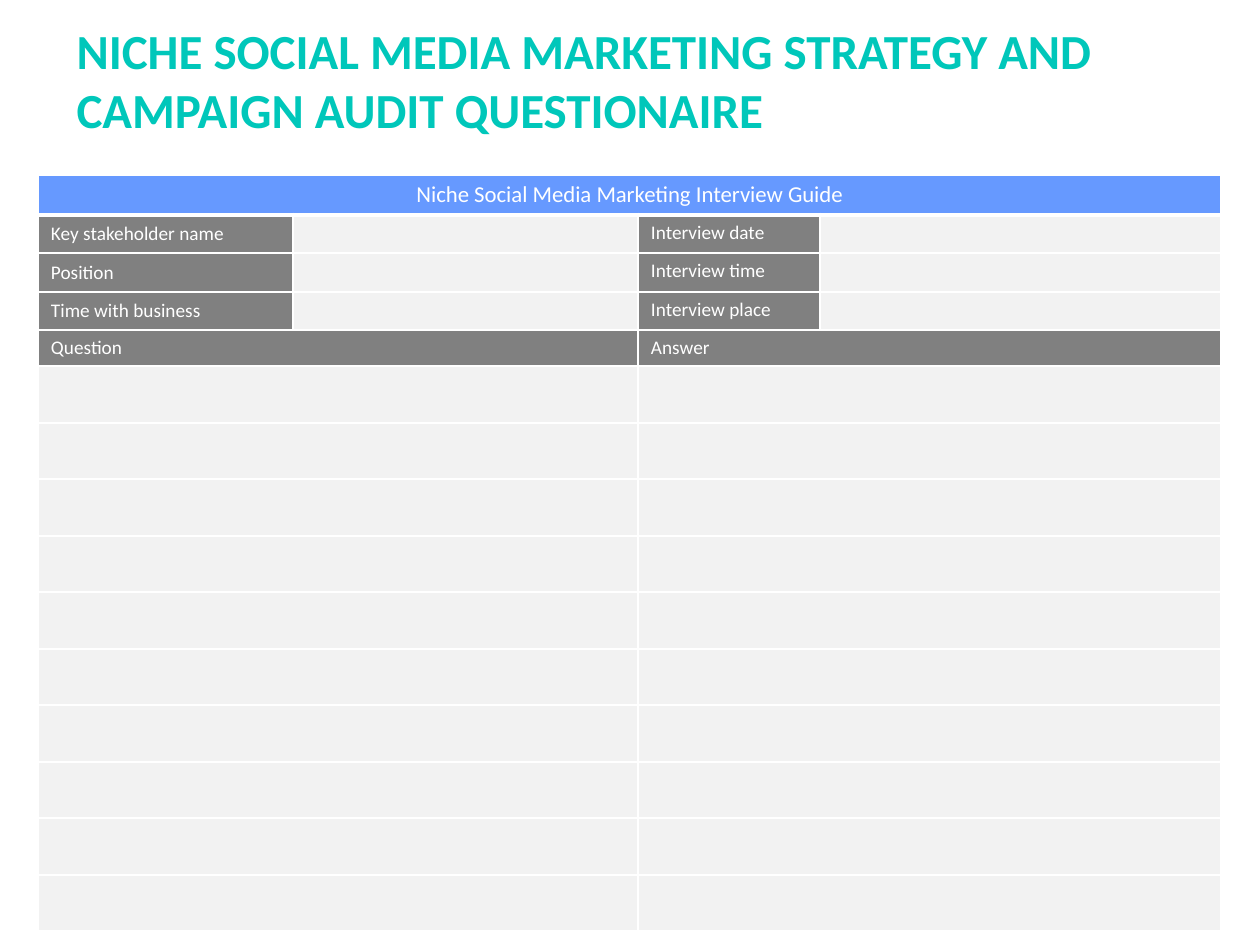
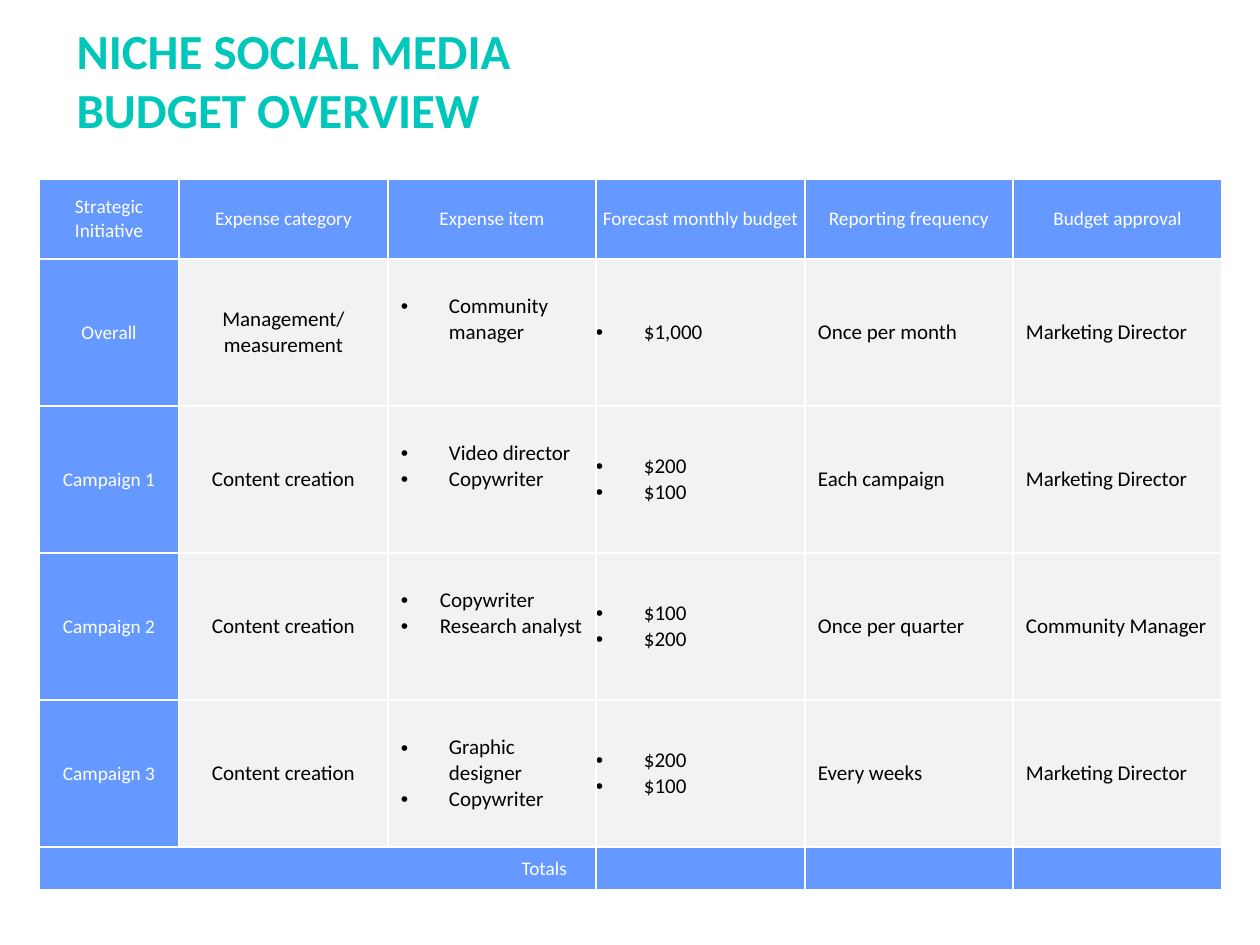
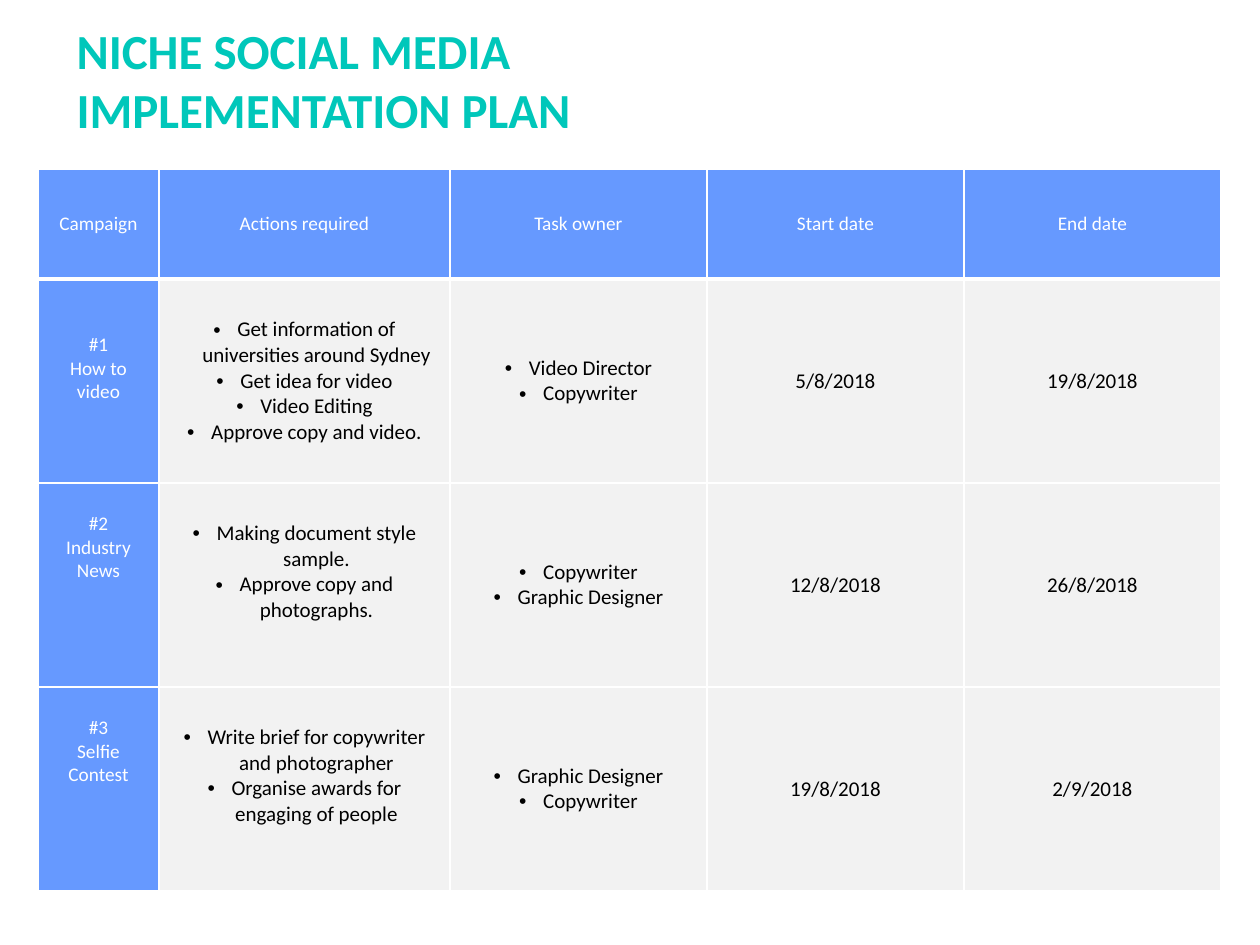
from dataclasses import dataclass, replace

from lxml import etree
from pptx import Presentation
from pptx.dml.color import RGBColor
from pptx.enum.text import MSO_ANCHOR, MSO_AUTO_SIZE, PP_ALIGN
from pptx.oxml.ns import qn
from pptx.util import Emu, Pt


@dataclass(frozen=True)
class Theme:
    font: str = "Calibri"
    teal: str = "00C7BA"
    blue: str = "6699FF"
    gray: str = "808080"
    pale: str = "F2F2F2"
    white: str = "FFFFFF"
    black: str = "000000"
    title_size: int = 28
    banner_size: int = 13
    body_size: int = 12
    label_size: int = 11
    border: int = 1
    heavy_border: int = 3


THEME = Theme()
TITLE_BOX = (64, 14, 1111, 131)
TITLE_ONLY = 5


@dataclass(frozen=True)
class CellStyle:
    fill: str = THEME.pale
    color: str = THEME.black
    size: int = THEME.body_size
    align: PP_ALIGN = PP_ALIGN.LEFT
    anchor: MSO_ANCHOR = MSO_ANCHOR.MIDDLE
    bullet_indent: int = 0
    margins: tuple = (13, 6, 13, 6)  # left, top, right, bottom


BODY = CellStyle()
CENTERED = replace(BODY, align=PP_ALIGN.CENTER)
FLUSH = (0, 0, 0, 0)
LABEL = CellStyle(THEME.blue, THEME.white, THEME.label_size, PP_ALIGN.CENTER)
FIELD = replace(LABEL, fill=THEME.gray, align=PP_ALIGN.LEFT)
RAISED = (13, 6, 13, 32)  # lifts text by half a line above the middle


def px(length):
    return Emu(round(length * 914400 / 126))


# Shared parts

def add_titled_slide(presentation, title_text):
    slide = presentation.slides.add_slide(presentation.slide_layouts[TITLE_ONLY])
    title = slide.shapes.title
    title.left, title.top, title.width, title.height = map(px, TITLE_BOX)
    frame = title.text_frame
    frame.text = title_text
    frame.word_wrap = True
    frame.auto_size = MSO_AUTO_SIZE.NONE
    frame.vertical_anchor = MSO_ANCHOR.MIDDLE
    for paragraph in frame.paragraphs:
        paragraph.alignment = PP_ALIGN.LEFT
        set_font(paragraph, THEME.title_size, THEME.teal, bold=True)
    return slide


def set_font(paragraph, size, color, bold=False):
    font = paragraph.font
    font.name = THEME.font
    font.size = Pt(size)
    font.bold = bold
    font.color.rgb = RGBColor.from_string(color)


def add_bullet(paragraph, indent):
    properties = paragraph._p.get_or_add_pPr()
    properties.set("marL", str(px(indent)))
    properties.set("indent", str(-px(indent)))
    etree.SubElement(properties, qn("a:buFont"), typeface="Arial")
    etree.SubElement(properties, qn("a:buChar"), char="•")


def add_borders(cell, sides):
    properties = cell._tc.get_or_add_tcPr()
    for side, width in sides.items():
        line = etree.SubElement(properties, qn(f"a:ln{side}"), w=str(Pt(width)))
        fill = etree.SubElement(line, qn("a:solidFill"))
        etree.SubElement(fill, qn("a:srgbClr"), val=THEME.white)


def add_grid(slide, box, widths, heights, heavy_header=False):
    """Add a table of pale, empty cells with white borders."""
    shape = slide.shapes.add_table(len(heights), len(widths), *map(px, box))
    table = shape.table
    table.first_row = table.horz_banding = False
    for column, width in zip(table.columns, widths):
        column.width = px(width)
    for index, (row, height) in enumerate(zip(table.rows, heights)):
        row.height = px(height)
        sides = {"L": THEME.border, "R": THEME.border}
        if index == 0:
            sides["T"] = THEME.border
        heavy = heavy_header and index == 0
        sides["B"] = THEME.heavy_border if heavy else THEME.border
        for cell in row.cells:
            add_borders(cell, sides)
            format_cell(cell, BODY)
            # Small empty text keeps the short rows from growing
            etree.SubElement(cell.text_frame.paragraphs[0]._p, qn("a:endParaRPr"),
                             sz=str(THEME.label_size * 100))
    return table


def format_cell(cell, style, text=""):
    cell.fill.solid()
    cell.fill.fore_color.rgb = RGBColor.from_string(style.fill)
    cell.vertical_anchor = style.anchor
    (cell.margin_left, cell.margin_top,
     cell.margin_right, cell.margin_bottom) = map(px, style.margins)
    if not text:
        return
    cell.text_frame.text = text
    for paragraph in cell.text_frame.paragraphs:
        paragraph.alignment = style.align
        if style.bullet_indent:
            add_bullet(paragraph, style.bullet_indent)
        set_font(paragraph, style.size, style.color)


def fill_row(table, row, styles, texts):
    for column, (style, text) in enumerate(zip(styles, texts)):
        format_cell(table.cell(row, column), style, text)


# Interview guide

def add_interview_guide(slide, box):
    widths = (255, 345, 182, 401)
    heights = (40, 38, 39, 38, 36) + (57, 56) * 5
    table = add_grid(slide, box, widths, heights, heavy_header=True)

    table.cell(0, 0).merge(table.cell(0, 3))
    banner = replace(LABEL, size=THEME.banner_size, anchor=MSO_ANCHOR.TOP)
    format_cell(table.cell(0, 0), banner, "Niche Social Media Marketing Interview Guide")

    fields = (("Key stakeholder name", "Interview date"),
              ("Position", "Interview time"),
              ("Time with business", "Interview place"))
    for row, (person, meeting) in enumerate(fields, start=1):
        format_cell(table.cell(row, 0), FIELD, person)
        format_cell(table.cell(row, 2), replace(FIELD, anchor=MSO_ANCHOR.TOP), meeting)

    # Question and answer halves
    question_row = len(fields) + 1
    for column, heading in ((0, "Question"), (2, "Answer")):
        for row in range(question_row, len(heights)):
            table.cell(row, column).merge(table.cell(row, column + 1))
        format_cell(table.cell(question_row, column), FIELD, heading)


# Budget

def add_budget(slide, box):
    widths = (140, 209, 208, 209, 208, 209)
    table = add_grid(slide, box, widths, (80,) + (147,) * 4 + (43,))

    flush_label = replace(LABEL, margins=FLUSH)
    fill_row(table, 0, (LABEL, flush_label, LABEL, flush_label, LABEL, LABEL),
             ("Strategic Initiative", "Expense category", "Expense item",
              "Forecast monthly budget", "Reporting frequency", "Budget approval"))

    category = replace(CENTERED, margins=FLUSH)
    listed = replace(BODY, bullet_indent=48)
    raised = replace(listed, margins=RAISED)
    amount = replace(listed, margins=FLUSH)
    initiatives = (
        (raised, ("Overall", "Management/ measurement", "Community manager",
                  "$1,000", "Once per month", "Marketing Director")),
        (raised, ("Campaign 1", "Content creation", "Video director\nCopywriter",
                  "$200\n$100", "Each campaign", "Marketing Director")),
        (replace(raised, bullet_indent=39),
         ("Campaign 2", "Content creation", "Copywriter\nResearch analyst",
          "$100\n$200", "Once per quarter", "Community Manager")),
        (listed, ("Campaign 3", "Content creation", "Graphic designer\nCopywriter",
                  "$200\n$100", "Every weeks", "Marketing Director")),
    )
    for row, (item, texts) in enumerate(initiatives, start=1):
        fill_row(table, row, (LABEL, category, item, amount, BODY, BODY), texts)

    # Totals
    last = len(initiatives) + 1
    table.cell(last, 0).merge(table.cell(last, 2))
    totals = replace(LABEL, align=PP_ALIGN.RIGHT, margins=(0, 0, 29, 0))
    fill_row(table, last, (totals,), ("Totals",))
    for column in range(3, len(widths)):
        format_cell(table.cell(last, column), LABEL)


# Implementation plan

def add_plan(slide, box):
    widths = (121, 291, 257, 257, 257)
    table = add_grid(slide, box, widths, (110,) + (204,) * 3, heavy_header=True)
    fill_row(table, 0, (LABEL,) * len(widths),
             ("Campaign", "Actions required", "Task owner", "Start date", "End date"))

    listed = replace(CENTERED, bullet_indent=24)
    raised = replace(listed, margins=RAISED)
    campaigns = (
        (54, listed, ("#1\nHow to video",
                      "Get information of universities around Sydney\n"
                      "Get idea for video\nVideo Editing\nApprove copy and video.",
                      "Video Director\nCopywriter", "5/8/2018", "19/8/2018")),
        (29, raised, ("#2\nIndustry News",
                      "Making document style sample.\nApprove copy and photographs.",
                      "Copywriter\nGraphic Designer", "12/8/2018", "26/8/2018")),
        (29, raised, ("#3\nSelfie Contest",
                      "Write brief for copywriter and photographer\n"
                      "Organise awards for engaging of people",
                      "Graphic Designer\nCopywriter", "19/8/2018", "2/9/2018")),
    )
    for row, (top_margin, actions, texts) in enumerate(campaigns, start=1):
        name = replace(LABEL, anchor=MSO_ANCHOR.TOP, margins=(13, top_margin, 13, 6))
        fill_row(table, row, (name, actions, listed, CENTERED, CENTERED), texts)


def main():
    presentation = Presentation()
    presentation.slide_width, presentation.slide_height = px(1260), px(945)
    pages = (
        ("NICHE SOCIAL MEDIA MARKETING STRATEGY AND CAMPAIGN AUDIT QUESTIONAIRE",
         add_interview_guide, (38, 175, 1183, 756)),
        ("NICHE SOCIAL MEDIA\nBUDGET OVERVIEW", add_budget, (39, 179, 1183, 711)),
        ("NICHE SOCIAL MEDIA\nIMPLEMENTATION PLAN", add_plan, (38, 169, 1183, 722)),
    )
    for title_text, add_content, box in pages:
        add_content(add_titled_slide(presentation, title_text), box)
    presentation.save("out.pptx")


if __name__ == "__main__":
    main()
